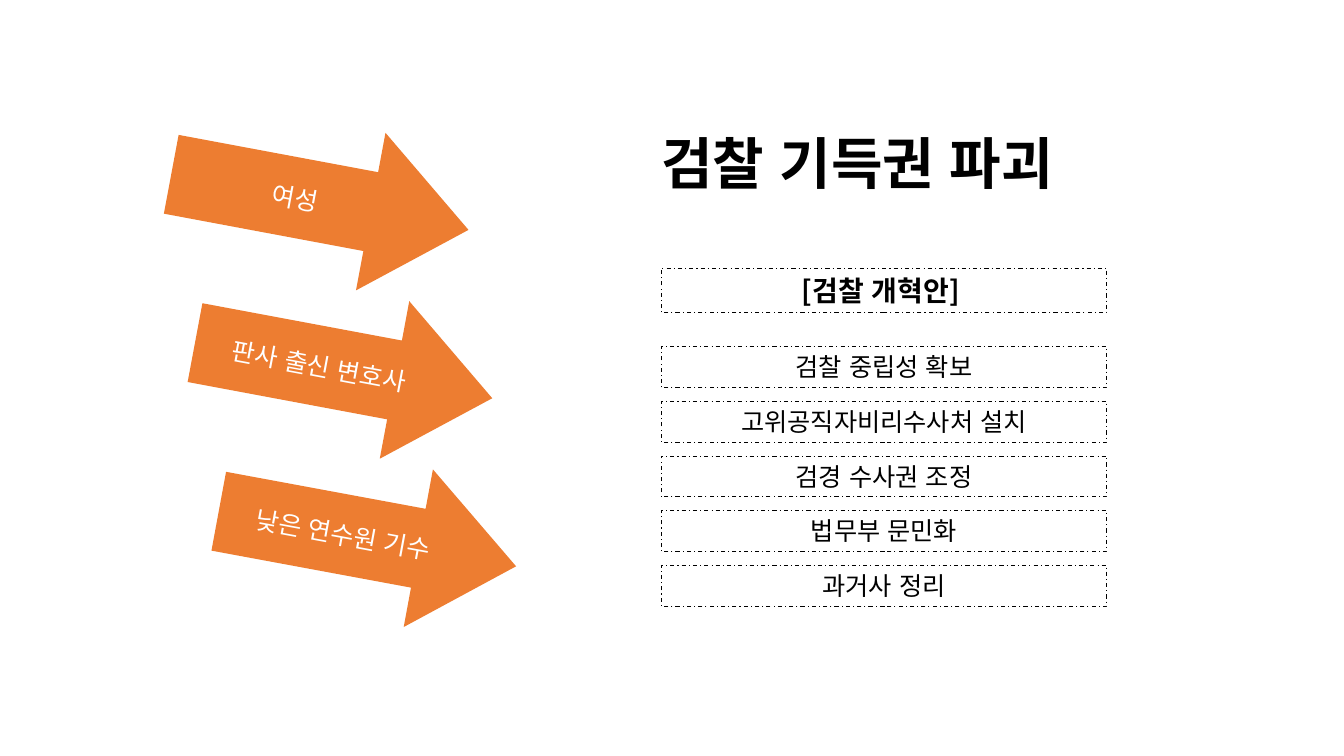
from dataclasses import dataclass

from lxml.etree import SubElement
from pptx import Presentation
from pptx.dml.color import RGBColor
from pptx.enum.dml import MSO_LINE
from pptx.enum.lang import MSO_LANGUAGE_ID as Lang
from pptx.enum.shapes import MSO_SHAPE as Shape
from pptx.enum.text import MSO_ANCHOR as Anchor, MSO_AUTO_SIZE as AutoSize, PP_ALIGN as Align
from pptx.oxml.ns import qn
from pptx.slide import Slide
from pptx.text.text import TextFrame
from pptx.util import Emu, Inches, Pt

SLIDE_W, SLIDE_H = Inches(13.33), Inches(7.5)
COLUMNS = ROWS = 100


@dataclass(frozen=True)
class Theme:
    font: str = "Noto Sans CJK KR"
    ink: RGBColor = RGBColor(0x00, 0x00, 0x00)
    paper: RGBColor = RGBColor(0xFF, 0xFF, 0xFF)
    accent: RGBColor = RGBColor(0xED, 0x7D, 0x31)
    title: float = 40
    heading: float = 20
    body: float = 18
    outline: float = 0.75


@dataclass(frozen=True)
class Area:
    col: float
    row: float
    cols: float
    rows: float

    def emu(self) -> tuple[Emu, Emu, Emu, Emu]:
        w, h = SLIDE_W / COLUMNS, SLIDE_H / ROWS
        return (Emu(round(self.col * w)), Emu(round(self.row * h)),
                Emu(round(self.cols * w)), Emu(round(self.rows * h)))

    def step(self, i: int, cols: float, rows: float) -> "Area":
        return Area(self.col + i * cols, self.row + i * rows, self.cols, self.rows)


@dataclass(frozen=True)
class Label:
    text: str
    size: float
    color: RGBColor
    bold: bool = False
    align: Align = Align.CENTER


@dataclass(frozen=True)
class Arrow:
    area: Area
    label: Label
    angle: float


@dataclass(frozen=True)
class Box:
    area: Area
    label: Label


THEME = Theme()
TITLE = Box(Area(48.45, 16.4, 34.95, 10.27),
            Label("검찰 기득권 파괴", THEME.title, THEME.ink, True, Align.LEFT))
HEADING = Box(Area(49.2, 35.47, 33.15, 5.87),
              Label("[검찰 개혁안] ", THEME.heading, THEME.ink, True))
FIRST_REFORM = Area(49.2, 45.87, 33.15, 5.38)
REFORMS = ("검찰 중립성 확보", "고위공직자비리수사처 설치", "검경 수사권 조정",
           "법무부 문민화", "과거사 정리")
FIRST_ARROW = Area(12.55, 16.13, 22.5, 21.2)
TRAITS = (("여성", 10.6), ("판사 출신 변호사", 10.6), ("낮은 연수원 기수", 10.5))


def write(tf: TextFrame, label: Label, anchor: Anchor) -> None:
    tf.word_wrap = True
    tf.vertical_anchor = anchor
    p = tf.paragraphs[0]
    p.alignment = label.align
    r = p.add_run()
    r.text = label.text
    r.font.name = THEME.font
    r.font.size = Pt(label.size)
    r.font.bold = label.bold
    r.font.color.rgb = label.color
    r.font.language_id = Lang.KOREAN
    SubElement(r.font._element, qn("a:ea")).set("typeface", THEME.font)


def draw_arrow(s: Slide, arrow: Arrow) -> None:
    sp = s.shapes.add_shape(Shape.RIGHT_ARROW, *arrow.area.emu())
    sp.shadow.inherit = False
    sp.rotation = arrow.angle
    sp.adjustments[0] = 0.5
    sp.adjustments[1] = 0.62
    sp.fill.solid()
    sp.fill.fore_color.rgb = THEME.accent
    sp.line.fill.background()
    write(sp.text_frame, arrow.label, Anchor.MIDDLE)


def draw_box(s: Slide, box: Box) -> None:
    sp = s.shapes.add_shape(Shape.RECTANGLE, *box.area.emu())
    sp.shadow.inherit = False
    sp.fill.background()
    sp.line.color.rgb = THEME.ink
    sp.line.width = Pt(THEME.outline)
    sp.line.dash_style = MSO_LINE.DASH_DOT
    write(sp.text_frame, box.label, Anchor.TOP)
    sp.text_frame.auto_size = AutoSize.SHAPE_TO_FIT_TEXT


def draw_title(s: Slide, title: Box) -> None:
    tf = s.shapes.add_textbox(*title.area.emu()).text_frame
    write(tf, title.label, Anchor.TOP)
    tf.auto_size = AutoSize.SHAPE_TO_FIT_TEXT


def main() -> None:
    prs = Presentation()
    prs.slide_width, prs.slide_height = SLIDE_W, SLIDE_H
    s = prs.slides.add_slide(prs.slide_layouts[6])
    for i, (text, angle) in enumerate(TRAITS):
        label = Label(text, THEME.body, THEME.paper)
        draw_arrow(s, Arrow(FIRST_ARROW.step(i, 1.77, 22.27), label, angle))
    draw_title(s, TITLE)
    draw_box(s, HEADING)
    for i, text in enumerate(REFORMS):
        label = Label(text, THEME.body, THEME.ink)
        draw_box(s, Box(FIRST_REFORM.step(i, 0, 7.23), label))
    prs.save("out.pptx")


if __name__ == "__main__":
    main()
